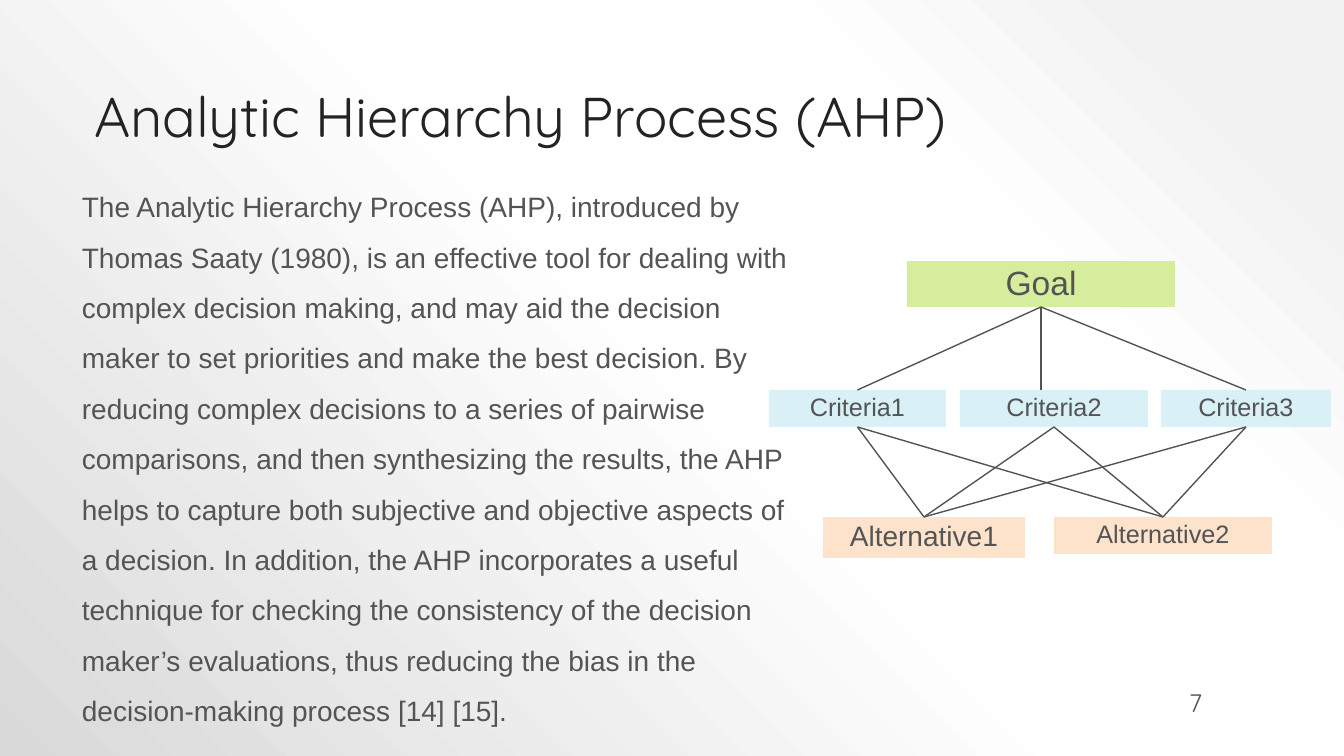
from pptx import Presentation
from pptx.dml.color import RGBColor
from pptx.enum.shapes import MSO_CONNECTOR, MSO_SHAPE
from pptx.enum.text import MSO_ANCHOR, MSO_AUTO_SIZE, PP_ALIGN
from pptx.oxml import parse_xml
from pptx.oxml.ns import nsdecls, qn
from pptx.util import Pt

LEFT, CENTER, RIGHT = PP_ALIGN.LEFT, PP_ALIGN.CENTER, PP_ALIGN.RIGHT
TOP, MIDDLE = MSO_ANCHOR.TOP, MSO_ANCHOR.MIDDLE
RECTANGLE = MSO_SHAPE.RECTANGLE
STRAIGHT = MSO_CONNECTOR.STRAIGHT
NO_AUTOFIT = MSO_AUTO_SIZE.NONE
BOTTOM_SITE, TOP_SITE = 2, 0

INK = RGBColor(0x23, 0x23, 0x23)
GRAY = RGBColor(0x54, 0x54, 0x54)
GREEN = RGBColor(0xD7, 0xED, 0x9E)
BLUE = RGBColor(0xD9, 0xF1, 0xF6)
ORANGE = RGBColor(0xFD, 0xE2, 0xCC)
BACKGROUND_STOPS = [
    (10, RGBColor(0xF2, 0xF2, 0xF2)),
    (28, RGBColor(0xFF, 0xFF, 0xFF)),
    (48, RGBColor(0xFF, 0xFF, 0xFF)),
    (100, RGBColor(0xD9, 0xD9, 0xD9)),
]

EMU_PER_PX = 914400 / 100.8
BODY_FONT, TITLE_FONT = "Arial", "Quicksand"

BODY = (
    "The Analytic Hierarchy Process (AHP), introduced by Thomas Saaty (1980), "
    "is an effective tool for dealing with complex decision making, and may aid "
    "the decision maker to set priorities and make the best decision. By reducing "
    "complex decisions to a series of pairwise comparisons, and then synthesizing "
    "the results, the AHP helps to capture both subjective and objective aspects "
    "of a decision. In addition, the AHP incorporates a useful technique for "
    "checking the consistency of the decision maker’s evaluations, thus reducing "
    "the bias in the decision-making process [14] [15]."
)
CRITERIA = [("Criteria1", 769, 177), ("Criteria2", 960, 188), ("Criteria3", 1161, 170)]
ALTERNATIVES = [("Alternative1", 823, 202, 41, 20), ("Alternative2", 1054, 218, 37, 18)]


def px(*lengths):
    return [round(length * EMU_PER_PX) for length in lengths]


class SlideBuilder:
    """Hold the slide and its style, and add styled elements to it."""

    def __init__(self, presentation):
        self.slide = presentation.slides.add_slide(presentation.slide_layouts[5])
        self.shapes = self.slide.shapes

    def background(self, stops):
        self.slide.background.fill.gradient()
        gradient = self.slide.element.find(".//" + qn("a:gradFill"))
        stop_xml = "".join(
            f'<a:gs pos="{position * 1000}"><a:srgbClr val="{color}"/></a:gs>'
            for position, color in stops
        )
        radial = parse_xml(
            f'<a:gradFill {nsdecls("a")} rotWithShape="1"><a:gsLst>{stop_xml}</a:gsLst>'
            '<a:path path="circle"><a:fillToRect l="100000" b="100000"/></a:path>'
            "</a:gradFill>"
        )
        gradient.getparent().replace(gradient, radial)

    def set_text(self, shape, text, size, color=GRAY, font=BODY_FONT,
                 align=LEFT, anchor=TOP, spacing=0.9):
        frame = shape.text_frame
        frame.text = text
        frame.word_wrap = True
        frame.auto_size = NO_AUTOFIT
        frame.vertical_anchor = anchor
        paragraph = frame.paragraphs[0]
        paragraph.alignment = align
        paragraph.line_spacing = spacing
        run_font = paragraph.runs[0].font
        run_font.size = Pt(size)
        run_font.name = font
        run_font.color.rgb = color

    def title(self, text, left, top, width, height):
        title = self.shapes.title
        title.left, title.top, title.width, title.height = px(left, top, width, height)
        self.set_text(title, text, 40, INK, TITLE_FONT)

    def text(self, text, left, top, width, height, size, **style):
        text_box = self.shapes.add_textbox(*px(left, top, width, height))
        self.set_text(text_box, text, size, **style)

    def box(self, text, left, top, width, height, size, fill):
        shape = self.shapes.add_shape(RECTANGLE, *px(left, top, width, height))
        shape.shadow.inherit = False
        shape.fill.solid()
        shape.fill.fore_color.rgb = fill
        shape.line.fill.background()
        self.set_text(shape, text, size, align=CENTER)
        return shape

    def connect(self, upper, lower, vertical=False):
        start_x = upper.left + upper.width // 2
        end_x = start_x if vertical else lower.left + lower.width // 2
        connector = self.shapes.add_connector(
            STRAIGHT, start_x, upper.top + upper.height, end_x, lower.top
        )
        connector.begin_connect(upper, BOTTOM_SITE)
        if not vertical:
            connector.end_connect(lower, TOP_SITE)
        connector.line.color.rgb = GRAY
        connector.line.width = Pt(1)
        connector.element.spPr.append(parse_xml(f'<a:effectLst {nsdecls("a")}/>'))


def main():
    presentation = Presentation()
    presentation.slide_width, presentation.slide_height = px(1344, 756)
    builder = SlideBuilder(presentation)

    builder.background(BACKGROUND_STOPS)
    builder.title("Analytic Hierarchy Process (AHP)", 84, 84, 1218, 72)
    builder.text(BODY, 72, 168, 736, 563, 20, spacing=1.5)

    goal = builder.box("Goal", 907, 261, 268, 46, 24, GREEN)
    criteria = [
        builder.box(name, left, 390, width, 37, 18, BLUE)
        for name, left, width in CRITERIA
    ]
    alternatives = [
        builder.box(name, left, 517, width, height, size, ORANGE)
        for name, left, width, height, size in ALTERNATIVES
    ]

    for criterion in criteria:
        builder.connect(goal, criterion, vertical=criterion is criteria[1])
    for alternative in alternatives:
        for criterion in criteria:
            builder.connect(criterion, alternative)

    builder.text("7", 1138, 674, 74, 57, 18, font=TITLE_FONT,
                 align=RIGHT, anchor=MIDDLE, spacing=1.0)
    presentation.save("out.pptx")


if __name__ == "__main__":
    main()
